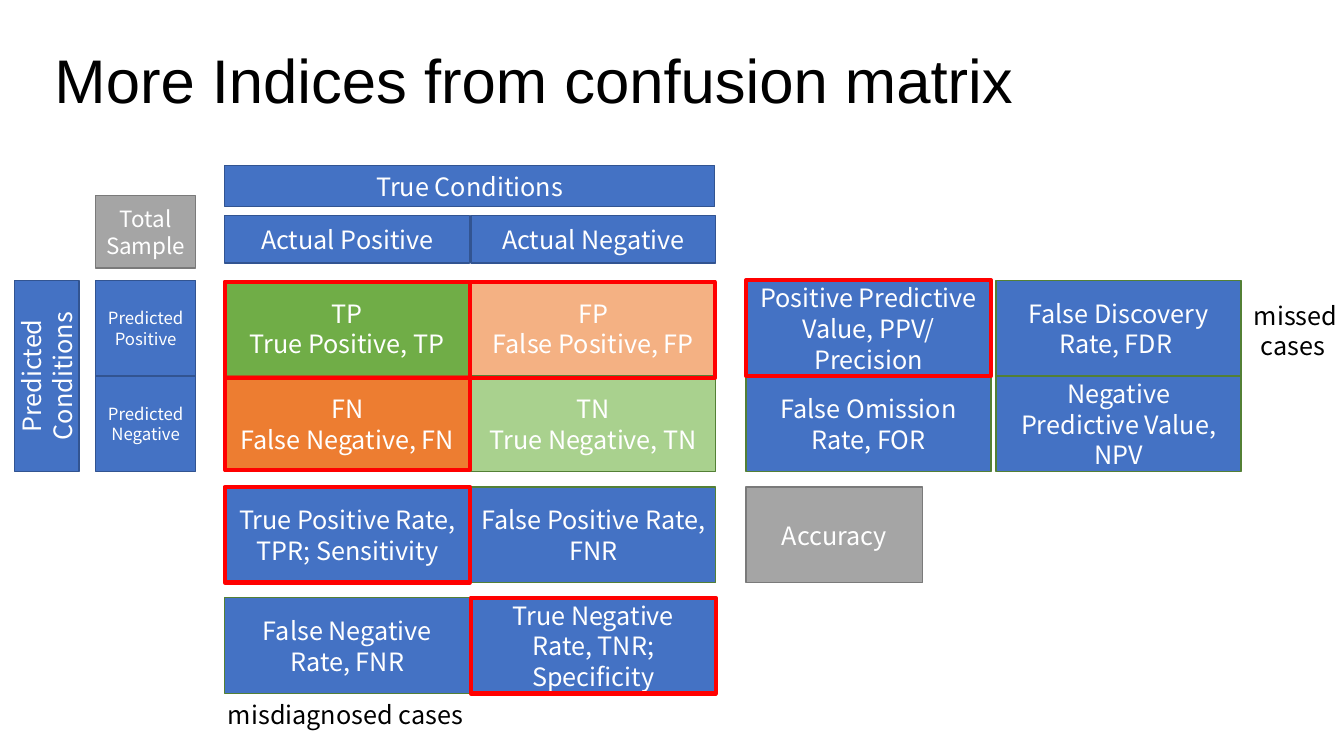
from typing import NamedTuple, Optional

import pptx
import pptx.dml.color
import pptx.enum.shapes
import pptx.enum.text
import pptx.util

Inches = pptx.util.Inches
Pt = pptx.util.Pt
RGBColor = pptx.dml.color.RGBColor
Align = pptx.enum.text.PP_ALIGN
Anchor = pptx.enum.text.MSO_ANCHOR

BLACK = RGBColor(0x00, 0x00, 0x00)
WHITE = RGBColor(0xFF, 0xFF, 0xFF)
RED = RGBColor(0xFF, 0x00, 0x00)
BLUE = RGBColor(0x44, 0x72, 0xC4)
BLUE_EDGE = RGBColor(0x32, 0x54, 0x91)
GREEN = RGBColor(0x70, 0xAD, 0x47)
PALE_GREEN = RGBColor(0xA9, 0xD1, 0x8E)
GREEN_EDGE = RGBColor(0x53, 0x80, 0x35)
ORANGE = RGBColor(0xED, 0x7D, 0x31)
PALE_ORANGE = RGBColor(0xF4, 0xB1, 0x83)
ORANGE_EDGE = RGBColor(0xAF, 0x5C, 0x24)
GREY = RGBColor(0xA5, 0xA5, 0xA5)
GREY_EDGE = RGBColor(0x7A, 0x7A, 0x7A)

BODY_FONT = "Noto Sans CJK SC"
TITLE_FONT = "Arial"
LINE_HEIGHT = 1.22

# Grid of the matrix and its surrounding indices
CELL_W, CELL_H = 2.43, 0.95
POSITIVE_X, NEGATIVE_X = 2.23, 4.67
RATE_X, RATE_2_X = 7.4, 9.88
LABEL_X, LABEL_W = 0.95, 0.99
ROW_1 = 2.78
ROW_2 = ROW_1 + CELL_H
ROW_3, ROW_4 = 4.83, 5.93
FRAME_Y = 2.8


class Block(NamedTuple):
    lines: tuple[str, ...]
    left: float
    top: float
    fill: Optional[RGBColor] = BLUE
    edge: RGBColor = GREEN_EDGE
    width: float = CELL_W
    height: float = CELL_H
    size: int = 18
    rotation: int = 0
    edge_width: int = 1


class Note(NamedTuple):
    text: str
    left: float
    top: float
    width: float
    height: float


def frame(left: float, top: float, width: float = CELL_W, height: float = CELL_H) -> Block:
    """An unfilled red highlight."""
    return Block((), left, top, None, RED, width, height, edge_width=3)


def header(text: str, left: float, top: float, width: float, height: float,
           size: int = 18, rotation: int = 0) -> Block:
    return Block((text,), left, top, BLUE, BLUE_EDGE, width, height, size, rotation)


BLOCKS = [
    # Confusion matrix
    Block(("TP", "True Positive, TP"), POSITIVE_X, ROW_1, GREEN),
    Block(("FN", "False Negative, FN"), POSITIVE_X, ROW_2, ORANGE, ORANGE_EDGE),
    Block(("FP", "False Positive, FP"), NEGATIVE_X, ROW_1, PALE_ORANGE, ORANGE_EDGE),
    Block(("TN", "True Negative, TN"), NEGATIVE_X, ROW_2, PALE_GREEN),
    # Indices by column
    Block(("True Positive Rate, TPR; Sensitivity",), POSITIVE_X, ROW_3),
    Block(("False Negative Rate, FNR",), POSITIVE_X, ROW_4),
    Block(("False Positive Rate, FNR",), NEGATIVE_X, ROW_3),
    Block(("True Negative Rate, TNR; Specificity",), NEGATIVE_X, ROW_4),
    Block(("Accuracy",), RATE_X, ROW_3, GREY, GREY_EDGE, width=1.75),
    # Indices by row
    Block(("Positive Predictive Value, PPV/", "Precision"), RATE_X, ROW_1),
    Block(("False Discovery Rate, FDR ",), RATE_2_X, ROW_1),
    Block(("False Omission Rate, FOR",), RATE_X, ROW_2),
    Block(("Negative Predictive Value, NPV",), RATE_2_X, ROW_2),
    # Highlights
    frame(POSITIVE_X, ROW_3),
    frame(NEGATIVE_X, ROW_4),
    frame(RATE_X, ROW_1),
    frame(POSITIVE_X, FRAME_Y, width=2 * CELL_W),
    frame(POSITIVE_X, FRAME_Y, height=1.86),
    # Headers
    Block(("Total Sample",), LABEL_X, 1.94, GREY, GREY_EDGE, LABEL_W, 0.72, 16),
    header("True Conditions", POSITIVE_X, 1.64, 2 * CELL_W, 0.41),
    header("Predicted Conditions", -0.48, 3.41, 1.89, 0.64, rotation=270),
    header("Predicted Positive", LABEL_X, ROW_1, LABEL_W, CELL_H, 12),
    header("Predicted Negative", LABEL_X, ROW_2, LABEL_W, CELL_H, 12),
    header("Actual Positive", POSITIVE_X, 2.14, CELL_W, 0.47),
    header("Actual Negative", NEGATIVE_X, 2.14, CELL_W, 0.47),
]

NOTES = [
    Note("missed cases ", 12.28, 2.92, 1.14, 0.71),
    Note("misdiagnosed cases ", 1.94, 6.88, 3.03, 0.4),
]


def add_span(para, text: str, size: int, font: str, color: RGBColor) -> None:
    span = para.add_run()
    span.text = text
    span.font.size = Pt(size)
    span.font.name = font
    span.font.color.rgb = color


def write_lines(text_frame, lines: tuple[str, ...], size: int, color: RGBColor) -> None:
    text_frame.word_wrap = True
    for index, line in enumerate(lines):
        para = text_frame.add_paragraph() if index else text_frame.paragraphs[0]
        para.alignment = Align.CENTER
        para.line_spacing = Pt(size * LINE_HEIGHT)
        add_span(para, line, size, BODY_FONT, color)


def draw_block(page, block: Block) -> None:
    box = page.shapes.add_shape(
        pptx.enum.shapes.MSO_SHAPE.RECTANGLE, Inches(block.left), Inches(block.top),
        Inches(block.width), Inches(block.height))
    box.shadow.inherit = False
    box.rotation = block.rotation
    if block.fill is None:
        box.fill.background()
    else:
        box.fill.solid()
        box.fill.fore_color.rgb = block.fill
    box.line.color.rgb = block.edge
    box.line.width = Pt(block.edge_width)
    box.text_frame.vertical_anchor = Anchor.MIDDLE
    write_lines(box.text_frame, block.lines, block.size, WHITE)


def draw_note(page, note: Note) -> None:
    box = page.shapes.add_textbox(
        Inches(note.left), Inches(note.top), Inches(note.width), Inches(note.height))
    write_lines(box.text_frame, (note.text,), 18, BLACK)


def draw_title(page, text: str) -> None:
    title = page.shapes.title
    title.left, title.top = Inches(0.44), Inches(0.44)
    title.width, title.height = Inches(12.36), Inches(0.77)
    title.text_frame.auto_size = pptx.enum.text.MSO_AUTO_SIZE.NONE
    title.text_frame.vertical_anchor = Anchor.MIDDLE
    para = title.text_frame.paragraphs[0]
    para.alignment = Align.LEFT
    para.line_spacing = 0.9
    add_span(para, text, 44, TITLE_FONT, BLACK)


def main() -> None:
    deck = pptx.Presentation()
    deck.slide_width, deck.slide_height = Inches(13.33), Inches(7.5)
    page = deck.slides.add_slide(deck.slide_layouts.get_by_name("Title Only"))
    draw_title(page, "More Indices from confusion matrix")
    for block in BLOCKS:
        draw_block(page, block)
    for note in NOTES:
        draw_note(page, note)
    deck.save("out.pptx")


if __name__ == "__main__":
    main()
